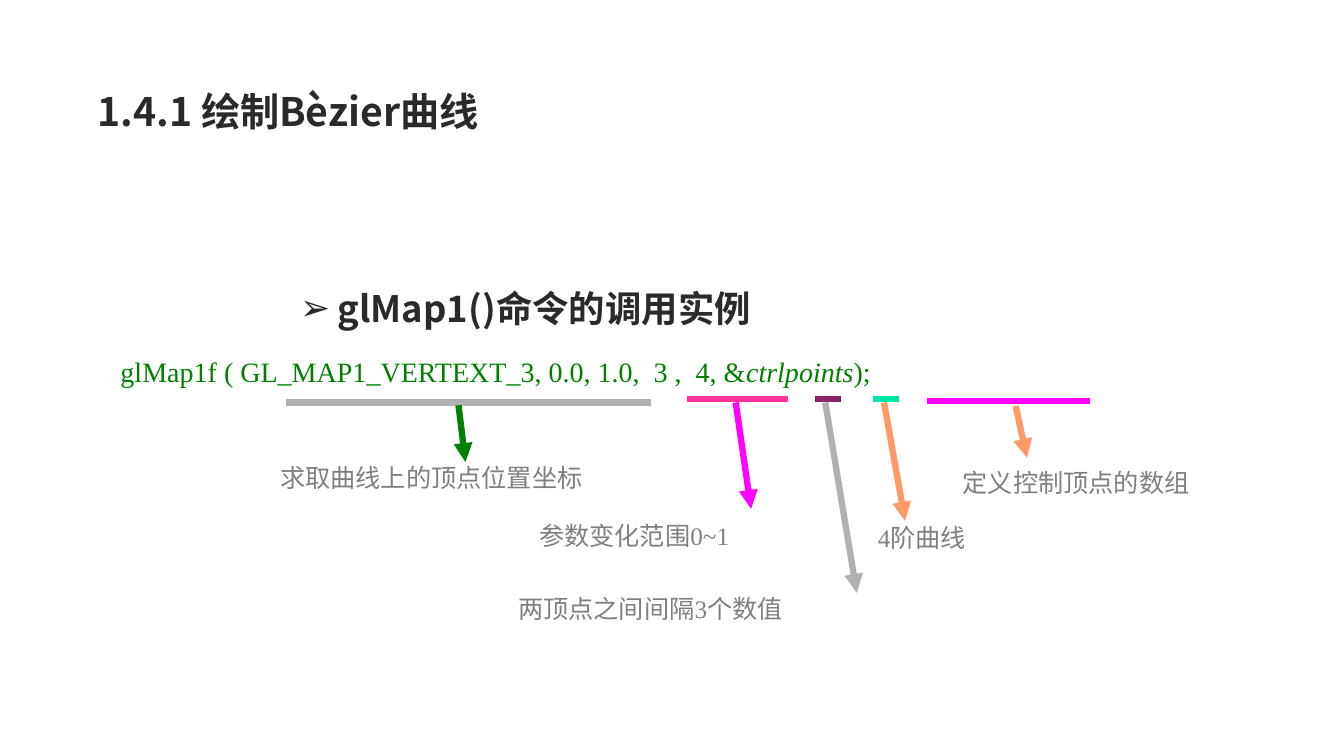
"""Build a slide that explains each argument of a glMap1f call."""
import dataclasses

import lxml.etree
import pptx
import pptx.dml.color
import pptx.enum.shapes
import pptx.enum.text
import pptx.oxml.ns
import pptx.util

Pt = pptx.util.Pt
qn = pptx.oxml.ns.qn


@dataclasses.dataclass(frozen=True)
class Theme:
    sans: str = "Noto Sans CJK SC"
    serif: str = "Times New Roman"
    label_sans: str = "Cabin"
    title: str = "282A2C"
    heading: str = "2A2A2A"
    label: str = "7F7F7F"
    green: str = "008000"
    gray: str = "B0B1B3"
    pink: str = "FF3399"
    magenta: str = "FF00FF"
    plum: str = "8A2466"
    mint: str = "00E4A8"
    orange: str = "FF9966"
    title_size: int = 28
    heading_size: int = 26
    code_size: int = 20
    label_size: int = 18
    line_width: float = 4.5


theme = Theme()


def style_text(shape, box, name, size, color, bold=False):
    """Place a text shape, format its first paragraph and return that paragraph."""
    shape.left, shape.top, shape.width, shape.height = map(Pt, box)
    shape.text_frame.word_wrap = True
    shape.text_frame.auto_size = pptx.enum.text.MSO_AUTO_SIZE.NONE
    paragraph = shape.text_frame.paragraphs[0]
    paragraph.alignment = pptx.enum.text.PP_ALIGN.LEFT
    paragraph.space_before = Pt(0)
    font = paragraph.font
    font.name, font.size, font.bold = name, Pt(size), bold
    font.color.rgb = pptx.dml.color.RGBColor.from_string(color)
    properties = paragraph._p.pPr.find(qn("a:defRPr"))
    lxml.etree.SubElement(properties, qn("a:ea"), typeface=theme.sans)
    return paragraph


def add_line(shapes, ends, color, arrow=False):
    """Draw a thick straight line, with an arrowhead at its end if asked."""
    line = shapes.add_connector(
        pptx.enum.shapes.MSO_CONNECTOR.STRAIGHT, *map(Pt, ends))
    line.line.width = Pt(theme.line_width)
    line.line.color.rgb = pptx.dml.color.RGBColor.from_string(color)
    if arrow:
        lxml.etree.SubElement(line.line._ln, qn("a:tailEnd"), type="triangle")
    lxml.etree.SubElement(line._element.spPr, qn("a:effectLst"))


presentation = pptx.Presentation()
presentation.slide_width, presentation.slide_height = Pt(960), Pt(540)
slide = presentation.slides.add_slide(presentation.slide_layouts[1])

title = slide.shapes.title
title.text_frame.text = "1.4.1 绘制Bèzier曲线"
title.text_frame.vertical_anchor = pptx.enum.text.MSO_ANCHOR.MIDDLE
title.text_frame.margin_left = title.text_frame.margin_right = Pt(3.6)
paragraph = style_text(title, (66, 29, 828, 104), theme.sans,
                       theme.title_size, theme.title, bold=True)
paragraph.line_spacing = 0.9

body = slide.placeholders[1]
body.text_frame.text = "glMap1()命令的调用实例"
body.text_frame.margin_top = body.text_frame.margin_bottom = Pt(7.2)
properties = body.text_frame.paragraphs[0]._p.get_or_add_pPr()
properties.set("marL", str(Pt(56)))
properties.set("indent", str(Pt(-27)))
lxml.etree.SubElement(properties, qn("a:buChar"), char="➢")
paragraph = style_text(body, (178, 191, 816, 324), theme.sans,
                       theme.heading_size, theme.heading, bold=True)
paragraph.line_spacing = 1.2

code = slide.shapes.add_textbox(0, 0, 0, 0)
paragraph = style_text(code, (79, 250, 850, 31), theme.serif,
                       theme.code_size, theme.green)
paragraph.add_run().text = "glMap1f ( GL_MAP1_VERTEXT_3, 0.0, 1.0,  3 ,  4, &"
argument = paragraph.add_run()
argument.text = "ctrlpoints"
argument.font.italic = True
paragraph.add_run().text = ");"

callouts = [
    ((204, 465, 287.5), theme.gray, (327.5, 289.5, 332.5, 330), theme.green,
     "求取曲线上的顶点位置坐标", (193, 327, 329), theme.label_sans),
    ((491, 563, 285), theme.pink, (525.5, 287.5, 536.5, 363.5), theme.magenta,
     "参数变化范围0~1", (378, 368, 223), theme.serif),
    ((582, 600.5, 285), theme.plum, (589.5, 287.5, 612, 423.5), theme.gray,
     "两顶点之间间隔3个数值", (363, 420.5, 284), theme.serif),
    ((623.5, 642, 285), theme.mint, (631.5, 287.5, 646.5, 372), theme.orange,
     "4阶曲线", (620, 369.5, 223), theme.serif),
    ((662, 778.5, 286.5), theme.magenta, (725.5, 290, 733.5, 327), theme.orange,
     "定义控制顶点的数组", (680.5, 330, 245.5), theme.label_sans),
]
for underline, underline_color, arrow, arrow_color, text, place, name in callouts:
    start, end, height = underline
    add_line(slide.shapes, (start, height, end, height), underline_color)
    add_line(slide.shapes, arrow, arrow_color, arrow=True)
    label = slide.shapes.add_textbox(0, 0, 0, 0)
    label.text_frame.text = text
    style_text(label, (*place, 29), name, theme.label_size, theme.label)

presentation.save("out.pptx")
